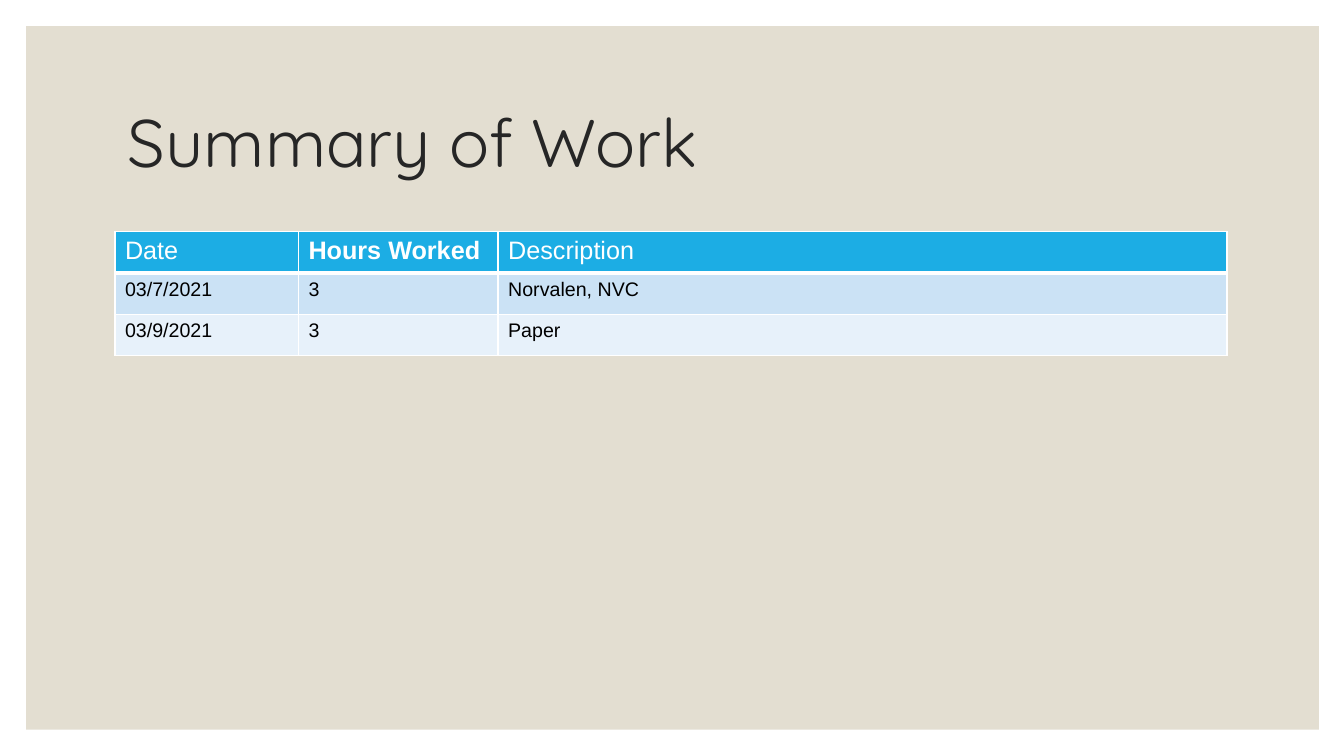
from dataclasses import dataclass

from lxml.etree import SubElement
from pptx import Presentation
from pptx.dml.color import RGBColor
from pptx.enum.shapes import MSO_SHAPE
from pptx.enum.text import MSO_ANCHOR
from pptx.oxml.ns import qn
from pptx.util import Inches, Pt


@dataclass(frozen=True)
class Theme:
    """Colours, fonts and type sizes of the slide."""
    panel: str = "E3DED1"
    title: str = "262626"
    header: str = "1CADE4"
    bands: tuple = ("CBE2F5", "E7F1FA")
    white: str = "FFFFFF"
    body: str = "000000"
    title_font: str = "Quicksand"
    table_font: str = "Arial"
    title_size: int = 48
    header_size: int = 18
    body_size: int = 14
    thin: int = 1
    thick: int = 3


class SlideBuilder:
    """Draws themed elements on the current slide."""

    def __init__(self, slide, theme):
        self.slide = slide
        self.theme = theme

    def style(self, paragraph, font, size, color, bold=False):
        """Format every run of a paragraph."""
        for run in paragraph.runs:
            run.font.name = font
            run.font.size = Pt(size)
            run.font.bold = bold
            run.font.color.rgb = RGBColor.from_string(color)

    def panel(self, left, top, width, height):
        """Draw the plain backdrop."""
        backdrop = self.slide.shapes.add_shape(
            MSO_SHAPE.RECTANGLE, Inches(left), Inches(top), Inches(width), Inches(height))
        backdrop.shadow.inherit = False
        backdrop.fill.solid()
        backdrop.fill.fore_color.rgb = RGBColor.from_string(self.theme.panel)
        backdrop.line.fill.background()

    def title(self, text, left, top, width, height):
        """Write the slide heading."""
        heading = self.slide.shapes.add_textbox(
            Inches(left), Inches(top), Inches(width), Inches(height)).text_frame
        heading.word_wrap = True
        heading.vertical_anchor = MSO_ANCHOR.MIDDLE
        heading.text = text
        heading.paragraphs[0].line_spacing = 0.9
        self.style(heading.paragraphs[0], self.theme.title_font,
                   self.theme.title_size, self.theme.title)

    def borders(self, cell, top, bottom):
        """Give a cell white borders on all four sides."""
        thin = self.theme.thin
        properties = cell._tc.get_or_add_tcPr()
        for side, width in (("L", thin), ("R", thin), ("T", top), ("B", bottom)):
            line = SubElement(properties, qn(f"a:ln{side}"), w=str(Pt(width)))
            fill = SubElement(line, qn("a:solidFill"))
            SubElement(fill, qn("a:srgbClr"), val=self.theme.white)

    def table(self, rows, bold_headers, left, top, widths, row_height):
        """Draw a table with a header row and banded body rows."""
        theme = self.theme
        work_log = self.slide.shapes.add_table(
            len(rows), len(widths), Inches(left), Inches(top),
            Inches(sum(widths)), Inches(row_height * len(rows))).table
        for column, width in zip(work_log.columns, widths):
            column.width = Inches(width)
        for r, values in enumerate(rows):
            is_header = r == 0
            work_log.rows[r].height = Inches(row_height)
            band = theme.header if is_header else theme.bands[(r - 1) % 2]
            size = theme.header_size if is_header else theme.body_size
            color = theme.white if is_header else theme.body
            for c, value in enumerate(values):
                cell = work_log.cell(r, c)
                cell.text_frame.text = value
                self.style(cell.text_frame.paragraphs[0], theme.table_font, size, color,
                           is_header and value in bold_headers)
                self.borders(cell, theme.thick if r == 1 else theme.thin,
                             theme.thick if is_header else theme.thin)
                cell.fill.solid()
                cell.fill.fore_color.rgb = RGBColor.from_string(band)


WORK_LOG = (
    ("Date", "Hours Worked", "Description"),
    ("03/7/2021", "3", "Norvalen, NVC"),
    ("03/9/2021", "3", "Paper"),
)


def main():
    """Build and save the work summary slide."""
    deck = Presentation()
    deck.slide_width, deck.slide_height = Inches(13.33), Inches(7.5)
    builder = SlideBuilder(deck.slides.add_slide(deck.slide_layouts[6]), Theme())
    builder.panel(0.26, 0.26, 12.82, 6.98)
    builder.title("Summary of Work", 1.17, 0.7, 11, 1.5)
    builder.table(WORK_LOG, {"Hours Worked"}, 1.14, 2.3, (1.82, 1.98, 7.23), 0.41)
    deck.save("out.pptx")


if __name__ == "__main__":
    main()
